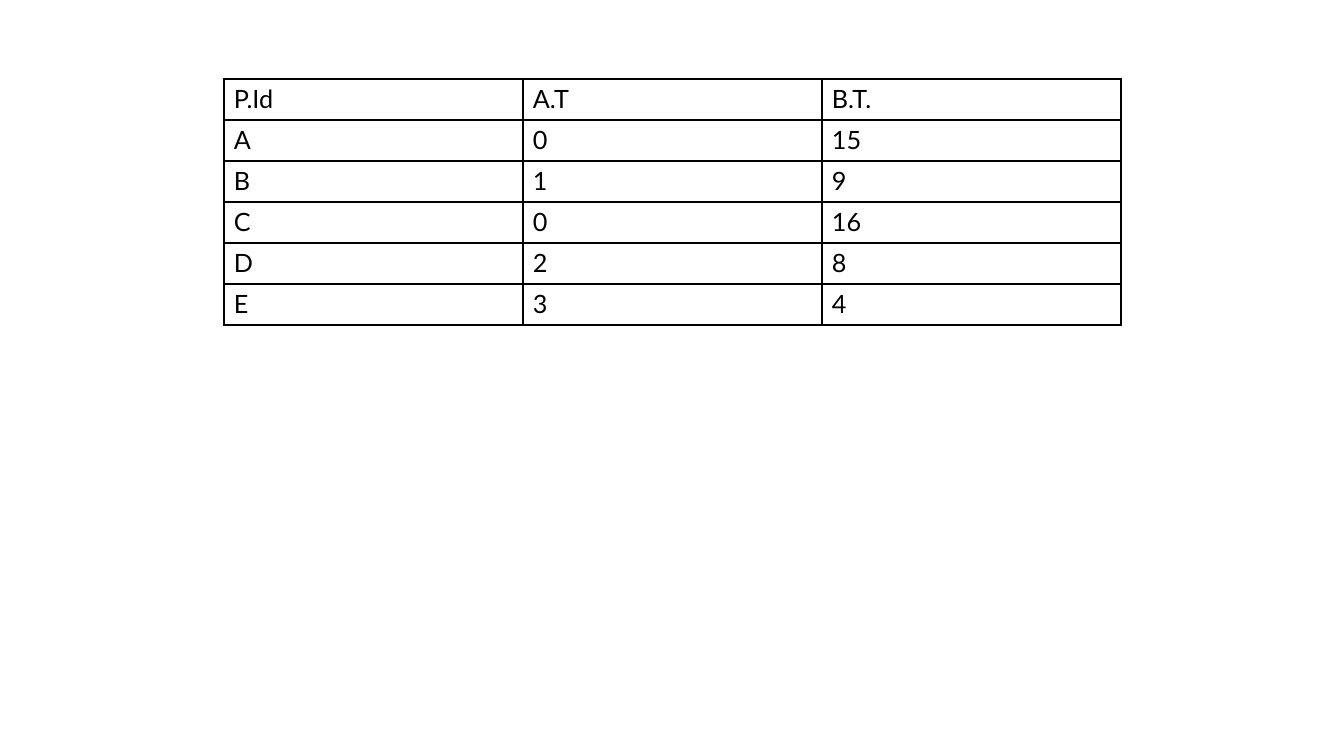
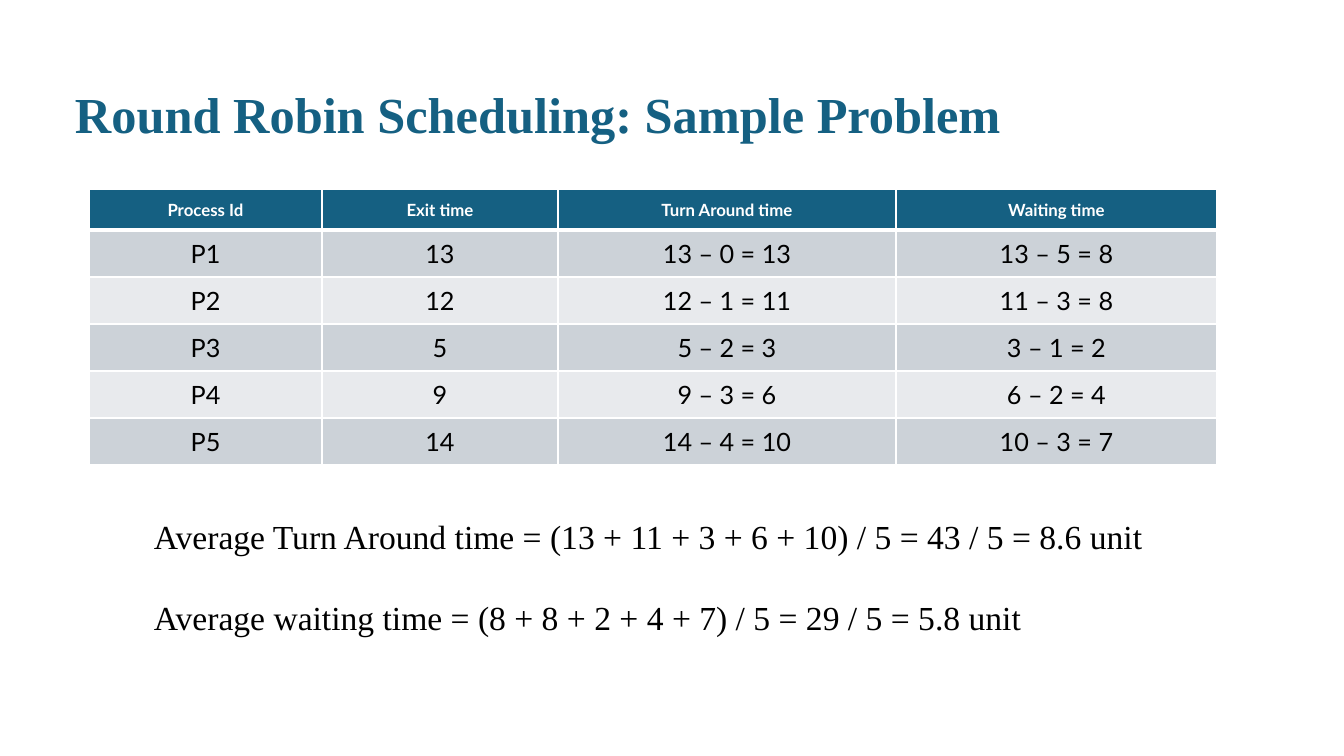
from dataclasses import dataclass

from lxml import etree
from pptx import Presentation
from pptx.dml.color import RGBColor
from pptx.enum.text import MSO_ANCHOR, PP_ALIGN
from pptx.oxml.ns import qn
from pptx.util import Emu, Pt

BLACK = RGBColor(0x00, 0x00, 0x00)
WHITE = RGBColor(0xFF, 0xFF, 0xFF)
TEAL = RGBColor(0x15, 0x60, 0x82)
BAND_DARK = RGBColor(0xCC, 0xD2, 0xD8)
BAND_LIGHT = RGBColor(0xE8, 0xEA, 0xED)

TABLE_FONT = "Lato"
TEXT_FONT = "Times New Roman"
SLIDE_WIDTH, SLIDE_HEIGHT = 1344, 756
SIDES = ("L", "R", "T", "B")


def px(count):
    """Turn px (100.8 to the inch) into EMU."""
    return Emu(round(count * 914400 / 100.8))


@dataclass(frozen=True)
class RowStyle:
    height: int
    size: int = 18
    color: RGBColor = BLACK
    bold: bool = False
    fill: RGBColor | None = None
    align: PP_ALIGN = PP_ALIGN.LEFT
    anchor: MSO_ANCHOR = MSO_ANCHOR.TOP
    margin: int = 5
    border: RGBColor = BLACK
    widths: tuple = (1, 1, 1, 1)  # points, in the order of SIDES


PLAIN = RowStyle(41)
CENTRED = {
    "align": PP_ALIGN.CENTER,
    "anchor": MSO_ANCHOR.MIDDLE,
    "margin": 8,
    "border": WHITE,
}
HEADER = RowStyle(41, 12, WHITE, True, TEAL, widths=(1, 1, 1, 3), **CENTRED)
FIRST_BAND = RowStyle(47, fill=BAND_DARK, widths=(1, 1, 3, 1), **CENTRED)
DARK = RowStyle(47, fill=BAND_DARK, **CENTRED)
LIGHT = RowStyle(47, fill=BAND_LIGHT, **CENTRED)


def add_run(paragraph, text, font_name, size, color, bold=False):
    run = paragraph.add_run()
    run.text = text
    run.font.name = font_name
    run.font.size = Pt(size)
    run.font.color.rgb = color
    run.font.bold = bold


def set_borders(cell, color, widths):
    properties = cell._tc.get_or_add_tcPr()
    for side, width in zip(SIDES, widths):
        line = etree.SubElement(properties, qn(f"a:ln{side}"), w=str(Pt(width)))
        fill = etree.SubElement(line, qn("a:solidFill"))
        etree.SubElement(fill, qn("a:srgbClr"), val=str(color))


def fill_cell(cell, text, style):
    cell.margin_left = cell.margin_right = px(10)
    cell.margin_top = cell.margin_bottom = px(style.margin)
    cell.vertical_anchor = style.anchor
    set_borders(cell, style.border, style.widths)
    if style.fill is None:
        cell.fill.background()
    else:
        cell.fill.solid()
        cell.fill.fore_color.rgb = style.fill
    paragraph = cell.text_frame.paragraphs[0]
    paragraph.alignment = style.align
    add_run(paragraph, text, TABLE_FONT, style.size, style.color, style.bold)


def add_table(slide, left, top, column_widths, rows, styles):
    height = sum(style.height for style in styles)
    table = slide.shapes.add_table(
        len(rows), len(column_widths),
        px(left), px(top), px(sum(column_widths)), px(height),
    ).table
    table.first_row = table.horz_banding = False
    for column, width in zip(table.columns, column_widths):
        column.width = px(width)
    for row, texts, style in zip(table.rows, rows, styles):
        row.height = px(style.height)
        for cell, text in zip(row.cells, texts):
            fill_cell(cell, text, style)


def add_text(slide, left, top, width, height, lines, size, color,
             bold=False, anchor=MSO_ANCHOR.TOP, line_spacing=1.0, gap=0):
    box = slide.shapes.add_textbox(px(left), px(top), px(width), px(height))
    frame = box.text_frame
    frame.word_wrap = True
    frame.vertical_anchor = anchor
    for index, line in enumerate(lines):
        paragraph = frame.add_paragraph() if index else frame.paragraphs[0]
        paragraph.line_spacing = line_spacing
        if index:
            paragraph.space_before = Pt(gap)
        add_run(paragraph, line, TEXT_FONT, size, color, bold)


def add_title(slide, text):
    add_text(slide, 65, 78, 1177, 78, [text], 36, TEAL, bold=True,
             anchor=MSO_ANCHOR.MIDDLE, line_spacing=0.9)


def build_process_slide(slide):
    rows = [
        ("P.Id", "A.T", "B.T."),
        ("A", "0", "15"),
        ("B", "1", "9"),
        ("C", "0", "16"),
        ("D", "2", "8"),
        ("E", "3", "4"),
    ]
    add_table(slide, 224, 79, [299] * 3, rows, [PLAIN] * len(rows))


def build_round_robin_slide(slide):
    add_title(slide, "Round Robin Scheduling: Sample Problem")
    rows = [
        ("Process Id", "Exit time", "Turn Around time", "Waiting time"),
        ("P1", "13", "13 – 0 = 13", "13 – 5 = 8"),
        ("P2", "12", "12 – 1 = 11", "11 – 3 = 8"),
        ("P3", "5", "5 – 2 = 3", "3 – 1 = 2"),
        ("P4", "9", "9 – 3 = 6", "6 – 2 = 4"),
        ("P5", "14", "14 – 4 = 10", "10 – 3 = 7"),
    ]
    styles = [HEADER, FIRST_BAND, LIGHT, DARK, LIGHT, DARK]
    add_table(slide, 89, 189, [233, 236, 338, 321], rows, styles)
    averages = [
        "Average Turn Around time = (13 + 11 + 3 + 6 + 10) / 5 = 43 / 5 = 8.6 unit",
        "Average waiting time = (8 + 8 + 2 + 4 + 7) / 5 = 29 / 5 = 5.8 unit",
    ]
    add_text(slide, 144, 511, 1040, 166, averages, 24, BLACK, gap=29)


def main():
    presentation = Presentation()
    presentation.slide_width = px(SLIDE_WIDTH)
    presentation.slide_height = px(SLIDE_HEIGHT)
    blank_layout = presentation.slide_layouts[6]
    for build in (build_process_slide, build_round_robin_slide):
        build(presentation.slides.add_slide(blank_layout))
    presentation.save("out.pptx")


if __name__ == "__main__":
    main()
